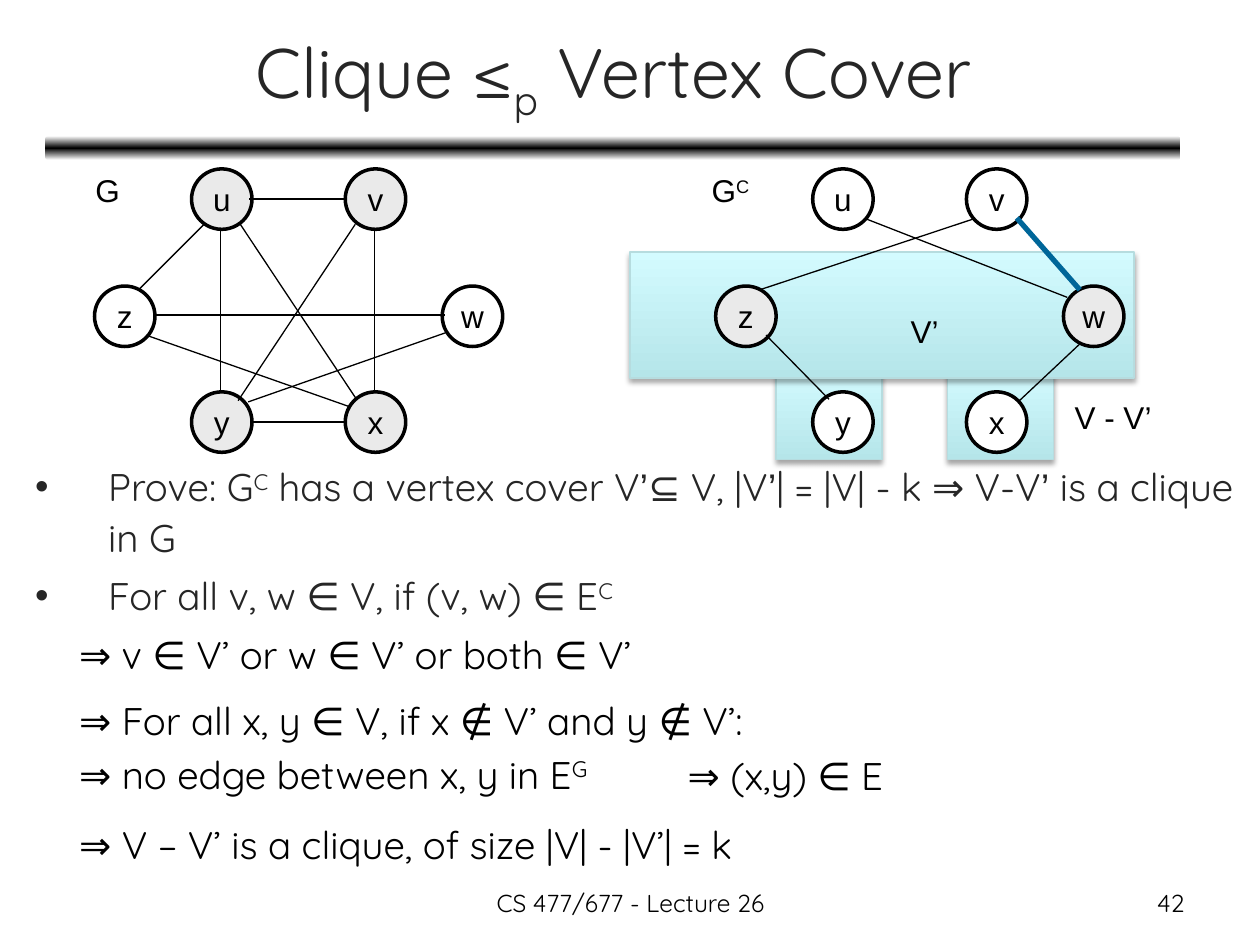
from dataclasses import dataclass
from typing import NamedTuple

from lxml import etree
from pptx import Presentation
from pptx import util as u
from pptx.dml.color import RGBColor
from pptx.enum import shapes, text
from pptx.oxml import ns

AL = text.PP_ALIGN
I = u.Inches


@dataclass(frozen=True)
class Theme:
    ink: str = "000000"
    soft_ink: str = "262626"
    white: str = "FFFFFF"
    grey: str = "EAEAEA"
    accent: str = "006699"
    aqua_line: str = "B6DCDF"
    aqua: tuple = ("B5E5E9", "D3FBFF")
    bar: tuple = ("FFFFFF", "000000", "FFFFFF")
    text_font: str = "Quicksand"
    label_font: str = "Arial"
    title_size: int = 40
    body_size: int = 22
    label_size: int = 18
    footer_size: int = 14


T = Theme()


class Run(NamedTuple):
    text: str
    base: int = 0
    font: str | None = None


class Style(NamedTuple):
    size: int
    font: str = T.text_font
    color: str = T.ink
    align: AL = AL.LEFT


class Box(NamedTuple):
    at: tuple
    paragraphs: list
    style: Style
    wrap: bool = False


class Graph(NamedTuple):
    dx: float
    shaded: str
    edges: list


TITLE = Style(T.title_size, color=T.soft_ink, align=AL.CENTER)
BULLET = Style(T.body_size, color=T.soft_ink)
BODY = Style(T.body_size)
LABEL = Style(T.label_size, T.label_font)
NODE = LABEL._replace(align=AL.CENTER)
FOOTER = Style(T.footer_size, align=AL.CENTER)

D = 0.48
NODES = {"u": (1.52, 1.34), "v": (2.74, 1.34), "z": (0.75, 2.27),
         "w": (3.51, 2.27), "y": (1.52, 3.11), "x": (2.74, 3.11)}
GRAPHS = [
    Graph(0, "uvyx", [
        (1.98, 1.58, 2.74, 1.58), (1.99, 3.35, 2.75, 3.35), (1.24, 2.5, 3.53, 2.5),
        (1.75, 1.82, 1.75, 3.11), (2.97, 1.82, 2.97, 3.11), (1.1, 2.3, 1.62, 1.78),
        (1.16, 2.66, 2.78, 3.23), (1.9, 1.77, 2.83, 3.17), (2.82, 1.78, 1.89, 3.18),
        (1.97, 3.19, 3.54, 2.64)]),
    Graph(4.93, "zw", [
        (6.03, 2.3, 7.72, 1.74), (6.08, 2.66, 6.58, 3.17),
        (6.88, 1.74, 8.47, 2.36), (8.57, 2.73, 8.08, 3.19)]),
]
COVER_EDGE = (8.07, 1.73, 8.57, 2.3)
COVER_OUTLINE = [
    (6.3, 2.08), (5.65, 2.09), (5.51, 2.1), (5.44, 2.12), (5.39, 2.24), (5.38, 2.27),
    (5.36, 2.5), (5.36, 2.63), (5.38, 2.73), (5.41, 2.77), (5.5, 2.81), (5.6, 2.84),
    (6.08, 2.85), (7.63, 2.86), (8.3, 2.88), (9.14, 2.86), (9.17, 2.85), (9.24, 2.8),
    (9.29, 2.73), (9.32, 2.6), (9.3, 2.35), (9.29, 2.32), (9.26, 2.26), (9.25, 2.23),
    (9.19, 2.16), (9.15, 2.15), (8.96, 2.12), (6.57, 2.11), (6.44, 2.09), (6.37, 2.08),
    (6.32, 2.07)]

APOSTROPHE = Run("’", font=T.label_font)
CLAIMS = [
    [Run("Prove: G"), Run("C", 30), Run(" has a vertex cover V"), APOSTROPHE,
     Run("⊆ V, |V"), APOSTROPHE, Run("| = |V| - k ⇒ V-V"), APOSTROPHE,
     Run(" is a clique in G")],
    [Run("For all v, w ∈ V, if (v, w) ∈ E"), Run("C", 30)],
]
BOXES = [
    Box((0.66, 1.31, 0.4, 0.4), [[Run("G")]], LABEL),
    Box((5.55, 1.31, 0.52, 0.4), [[Run("G"), Run("C", 30)]], LABEL),
    Box((7.13, 2.43, 0.43, 0.4), [[Run("V’")]], LABEL),
    Box((8.43, 3.11, 0.82, 0.4), [[Run("V - V’")]], LABEL),
    Box((0.53, 4.96, 8.97, 0.47), [[Run("⇒ v ∈ V’ or w ∈ V’ or both ∈ V’")]], BODY, True),
    Box((0.53, 5.48, 5.72, 0.92),
        [[Run("⇒ For all x, y ∈ V, if x ∉ V’ and y ∉ V’:")],
         [Run("⇒ no edge between x, y in E"), Run("G", 30)]], BODY),
    Box((5.36, 5.92, 1.87, 0.47), [[Run("⇒ (x,y) ∈ E")]], BODY),
    Box((0.53, 6.47, 6.35, 0.47), [[Run("⇒ V – V’ is a clique, of size |V| - |V’| = k")]], BODY),
    Box((7.17, 7, 2.33, 0.35), [[Run("42")]], FOOTER._replace(align=AL.RIGHT), True),
    Box((3.42, 7, 3.17, 0.35), [[Run("CS 477/677 - Lecture 26")]], FOOTER, True),
]


def apply(obj, **formats) -> None:
    for name, value in formats.items():
        setattr(obj, name, value)


def sub(parent, tag: str, **attrs):
    return etree.SubElement(parent, ns.qn(tag), {k: str(v) for k, v in attrs.items()})


def write(tf, paragraphs: list, style: Style, **formats) -> None:
    """Fill a text frame; paragraphs after the first get 20 % space before."""
    for i, runs in enumerate(paragraphs):
        p = tf.paragraphs[0] if i == 0 else tf.add_paragraph()
        apply(p, alignment=style.align, **formats)
        if i:
            p.space_before = u.Pt(0.2 * style.size)
        for run in runs:
            r = p.add_run()
            r.text = run.text
            apply(r.font, size=u.Pt(style.size), name=run.font or style.font)
            r.font.color.rgb = RGBColor.from_string(style.color)
            if run.base:
                r.font._element.set("baseline", str(run.base * 1000))


def gradient(sp, colors: tuple, angle: int) -> None:
    """Spread the colours evenly along a counter-clockwise angle."""
    sp.fill.gradient()
    sp.fill.gradient_angle = angle
    stops = sp._element.spPr.find(".//" + ns.qn("a:gsLst"))
    for gs in list(stops):
        stops.remove(gs)
    for i, color in enumerate(colors):
        gs = sub(stops, "a:gs", pos=100000 * i // (len(colors) - 1))
        sub(gs, "a:srgbClr", val=color)


def outline(sp, color: str, width: float) -> None:
    sp.line.color.rgb = RGBColor.from_string(color)
    sp.line.width = u.Pt(width)


def aqua_panel(sp) -> None:
    gradient(sp, T.aqua, 90)
    outline(sp, T.aqua_line, 0.75)
    sp.shadow.inherit = False
    effects = sp._element.spPr.find(ns.qn("a:effectLst"))
    shadow = sub(effects, "a:outerShdw", blurRad=u.Pt(3.1), dist=u.Pt(1.8),
                 dir=5400000, rotWithShape=0)
    sub(sub(shadow, "a:srgbClr", val=T.ink), "a:alpha", val=35000)


def add_edge(s, ends: tuple, color: str = T.ink, width: float = 0.75) -> None:
    sp = s.shapes.add_connector(shapes.MSO_CONNECTOR.STRAIGHT, *map(I, ends))
    outline(sp, color, width)
    sub(sp._element.spPr, "a:effectLst")


def add_graph(s, graph: Graph) -> None:
    for name, (x, y) in NODES.items():
        sp = s.shapes.add_shape(shapes.MSO_SHAPE.OVAL, I(x + graph.dx), I(y), I(D), I(D))
        sp.shadow.inherit = False
        sp.fill.solid()
        sp.fill.fore_color.rgb = RGBColor.from_string(T.grey if name in graph.shaded else T.white)
        outline(sp, T.ink, 2)
        apply(sp.text_frame, word_wrap=False, vertical_anchor=text.MSO_ANCHOR.MIDDLE)
        write(sp.text_frame, [[Run(name)]], NODE)
    for ends in graph.edges:
        add_edge(s, ends)


def add_box(s, box: Box) -> None:
    tf = s.shapes.add_textbox(*map(I, box.at)).text_frame
    tf.word_wrap = box.wrap
    write(tf, box.paragraphs, box.style)


def add_claims(s) -> None:
    tf = s.shapes.add_textbox(I(0.18), I(3.59), I(9.82), I(1.54)).text_frame
    tf.word_wrap = True
    write(tf, CLAIMS, BULLET, line_spacing=1.1)
    for p in tf.paragraphs:
        pPr = p._p.get_or_add_pPr()
        apply_indent = {"marL": I(0.58), "indent": -I(0.58)}
        for name, value in apply_indent.items():
            pPr.set(name, str(value))
        sub(pPr, "a:buFont", typeface=T.label_font)
        sub(pPr, "a:buChar", char="•")


def main() -> None:
    prs = Presentation()
    apply(prs, slide_width=I(10), slide_height=I(7.5))
    s = prs.slides.add_slide(prs.slide_layouts[5])

    title = s.shapes.title
    apply(title, left=I(0.37), top=I(0.11), width=I(9), height=I(0.99))
    apply(title.text_frame, word_wrap=True, auto_size=text.MSO_AUTO_SIZE.NONE,
          vertical_anchor=text.MSO_ANCHOR.MIDDLE)
    write(title.text_frame, [[Run("Clique ≤"), Run("p", -25), Run(" Vertex Cover")]], TITLE)

    bar = s.shapes.add_shape(shapes.MSO_SHAPE.ROUNDED_RECTANGLE,
                             I(0.36), I(1.08), I(9.01), I(0.19))
    gradient(bar, T.bar, 270)
    bar.line.fill.background()
    bar.shadow.inherit = False

    for x in (7.52, 6.16):
        aqua_panel(s.shapes.add_shape(shapes.MSO_SHAPE.RECTANGLE,
                                      I(x), I(2.93), I(0.84), I(0.72)))
    fb = s.shapes.build_freeform(*COVER_OUTLINE[0], scale=I(1))
    fb.add_line_segments(COVER_OUTLINE[1:], close=True)
    aqua_panel(fb.convert_to_shape())

    for graph in GRAPHS:
        add_graph(s, graph)
    add_edge(s, COVER_EDGE, T.accent, 3)
    add_claims(s)
    for box in BOXES:
        add_box(s, box)
    prs.save("out.pptx")


if __name__ == "__main__":
    main()
